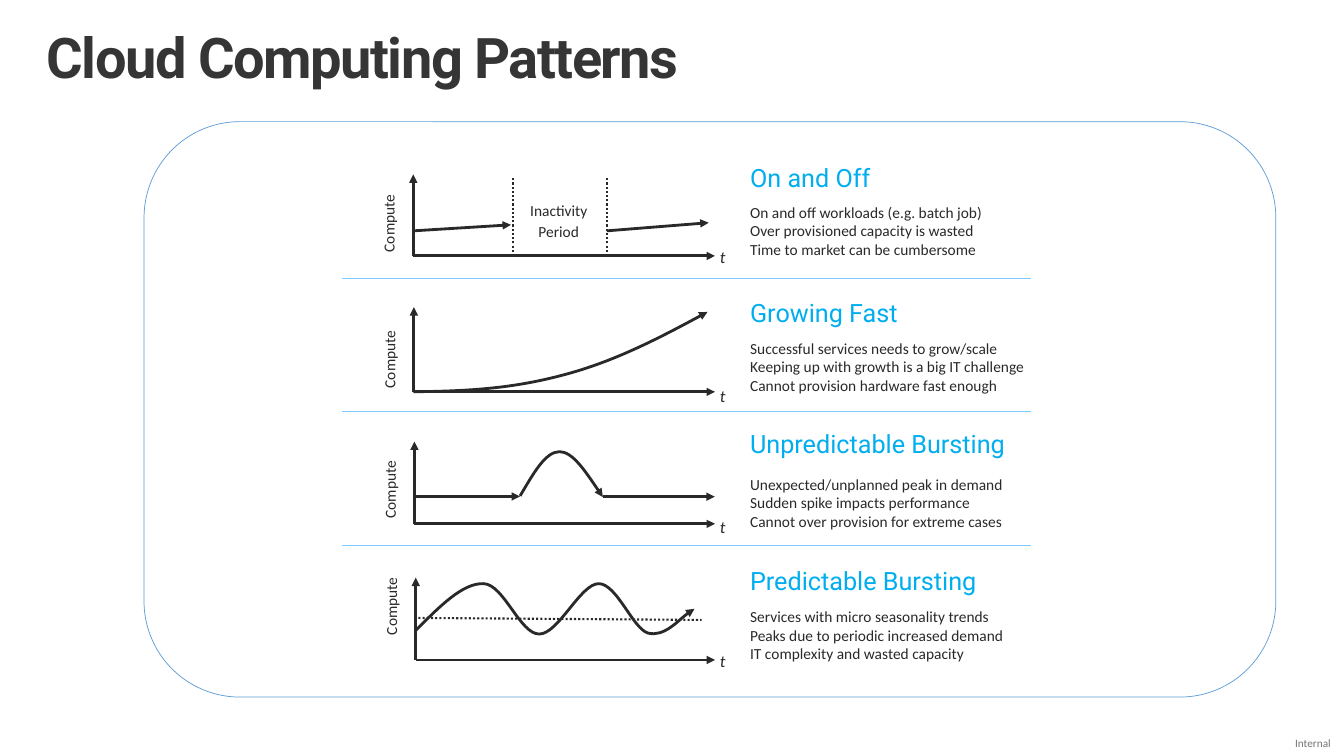
"""Build the Cloud Computing Patterns slide with four workload sketches."""
from pptx import Presentation
from pptx.dml.color import RGBColor
from pptx.enum.dml import MSO_LINE
from pptx.enum.shapes import MSO_CONNECTOR, MSO_SHAPE
from pptx.enum.text import MSO_ANCHOR, PP_ALIGN
from pptx.oxml.ns import qn
from pptx.util import Pt

INK = RGBColor(0x29, 0x29, 0x29)
TITLE_INK = RGBColor(0x35, 0x35, 0x35)
LABEL_GRAY = RGBColor(0x73, 0x73, 0x73)
HEADING_BLUE = RGBColor(0x00, 0xAE, 0xEF)
DIVIDER_BLUE = RGBColor(0x7E, 0xCC, 0xFF)
FRAME_BLUE = RGBColor(0x5B, 0x9B, 0xD5)
WHITE = RGBColor(0xFF, 0xFF, 0xFF)
STRAIGHT = MSO_CONNECTOR.STRAIGHT
ROUNDED = MSO_SHAPE.ROUNDED_RECTANGLE
DOTTED = MSO_LINE.ROUND_DOT
LEFT, CENTER, RIGHT = PP_ALIGN.LEFT, PP_ALIGN.CENTER, PP_ALIGN.RIGHT
TOP, MIDDLE = MSO_ANCHOR.TOP, MSO_ANCHOR.MIDDLE

PATTERNS = [
    {"heading": "On and Off",
     "points": ["On and off workloads (e.g. batch job)",
                "Over provisioned capacity is wasted",
                "Time to market can be cumbersome"],
     "heading_top": 114.9, "points_top": 145,
     "axis_left": 295.2, "axis_top": 124.6, "base": 182.8,
     "time_top": 176.4, "compute_middle": 159.6,
     "arrows": [(295.2, 164.9, 365, 160.6), (433.4, 164.9, 506.2, 159.1)],
     "dots": [(366.5, 182.9, 366.5, 126.7), (433.4, 182.9, 433.4, 126.7)]},
    {"heading": "Growing Fast",
     "points": ["Successful services needs to grow/scale",
                "Keeping up with growth is a big IT challenge",
                "Cannot provision hardware fast enough"],
     "heading_top": 211, "points_top": 241.9,
     "axis_left": 295.6, "axis_top": 219.4, "base": 279.9,
     "time_top": 275.8, "compute_middle": 256.8,
     "curve": [(295.2, 279.8),
               (337, 279.4), (367.2, 277.2), (402.5, 267.8),
               (437.8, 258.5), (471.6, 241.2), (505.4, 222.8)]},
    {"heading": "Unpredictable Bursting",
     "points": ["Unexpected/unplanned peak in demand",
                "Sudden spike impacts performance",
                "Cannot over provision for extreme cases"],
     "heading_top": 304.9, "points_top": 339.1,
     "axis_left": 296, "axis_top": 315.4, "base": 374.2,
     "time_top": 369.4, "compute_middle": 349.8,
     "arrows": [(296, 354.6, 371.5, 354.6), (430.6, 354.8, 510.6, 354.8)],
     "curve": [(371.5, 354.2),
               (380.9, 338.4), (389.5, 322.6), (399.6, 322.6),
               (409, 322.6), (419.8, 339.1), (430.6, 355)]},
    {"heading": "Predictable Bursting",
     "points": ["Services with micro seasonality trends",
                "Peaks due to periodic increased demand",
                "IT complexity and wasted capacity"],
     "heading_top": 402.5, "points_top": 433.9,
     "axis_left": 297, "axis_top": 412.6, "base": 471.4,
     "time_top": 464.6, "compute_middle": 433,
     "dots": [(298.8, 441.4, 501.1, 442.8)],
     "curve": [(296.6, 450.7),
               (313.9, 433.4), (330.5, 416.2), (345.6, 416.9),
               (360, 417.6), (371.5, 452.9), (385.2, 452.9),
               (398.9, 452.9), (414.7, 416.9), (427.7, 416.9),
               (440.6, 416.9), (452.2, 449.3), (463, 452.2),
               (474.5, 455), (489.6, 437.8), (496.1, 434.9)]},
]
DIVIDERS = [199.2, 293.8, 389.5]
DIVIDER_LEFT, DIVIDER_RIGHT = 244.1, 736.6
AXIS_RIGHT, TIME_LEFT, TEXT_LEFT = 510.7, 514.3, 535.8
COMPUTE_WIDTH, COMPUTE_HEIGHT, COMPUTE_GAP = 67.7, 15.1, 15


def place(shape, left, top, width, height):
    shape.left, shape.top = Pt(left), Pt(top)
    shape.width, shape.height = Pt(width), Pt(height)


def write(shape, lines, size, color=INK, font="Calibri", align=LEFT, anchor=TOP,
          bold=False, italic=False, spacing=None, after=0, insets=(0, 0), tracking=0):
    frame = shape.text_frame
    frame.word_wrap = True
    frame.vertical_anchor = anchor
    frame.margin_left = frame.margin_right = Pt(insets[0])
    frame.margin_top = frame.margin_bottom = Pt(insets[1])
    for index, text in enumerate(lines):
        para = frame.add_paragraph() if index else frame.paragraphs[0]
        para.alignment, para.line_spacing = align, spacing
        para.space_before, para.space_after = Pt(0), Pt(after)
        span = para.add_run()
        span.text = text
        span.font.name, span.font.size = font, Pt(size)
        span.font.bold, span.font.italic = bold, italic
        span.font.color.rgb = color
        if tracking:
            span.font._element.set("spc", str(tracking))


def add_text(page, box, lines, size, **style):
    shape = page.shapes.add_textbox(0, 0, 0, 0)
    place(shape, *box)
    write(shape, lines, size, **style)
    return shape


def style_line(shape, color, width, dash=None, arrow=False):
    shape.line.color.rgb = color
    shape.line.width = Pt(width)
    if dash:
        shape.line.dash_style = dash
    if arrow:
        outline = shape.element.spPr.find(qn("a:ln"))
        outline.append(outline.makeelement(qn("a:tailEnd"), {"type": "triangle"}))


def add_line(page, ends, color=INK, width=2, **style):
    line = page.shapes.add_connector(STRAIGHT, *[Pt(value) for value in ends])
    style_line(line, color, width, **style)
    properties = line.element.spPr
    properties.append(properties.makeelement(qn("a:effectLst"), {}))


def bend(shape):
    track = next(shape.element.spPr.iter(qn("a:path")))
    segments = track.findall(qn("a:lnTo"))
    for first in range(0, len(segments), 3):
        cubic = track.makeelement(qn("a:cubicBezTo"), {})
        for segment in segments[first:first + 3]:
            cubic.append(segment[0])
            track.remove(segment)
        track.append(cubic)


def add_curve(page, anchors):
    start, *others = [(Pt(x), Pt(y)) for x, y in anchors]
    builder = page.shapes.build_freeform(*start)
    builder.add_line_segments(others, close=False)
    curve = builder.convert_to_shape()
    bend(curve)
    curve.fill.background()
    curve.shadow.inherit = False
    style_line(curve, INK, 2, arrow=True)


def add_pattern(page, pattern):
    left, base = pattern["axis_left"], pattern["base"]
    add_line(page, (left, base, left, pattern["axis_top"]), arrow=True)
    add_line(page, (left, base, AXIS_RIGHT, base), arrow=True)
    add_text(page, (TIME_LEFT, pattern["time_top"], 77.8, 9), ["t"], 12, italic=True)
    compute = add_text(
        page, (left - COMPUTE_GAP - COMPUTE_WIDTH / 2,
               pattern["compute_middle"] - COMPUTE_HEIGHT / 2, COMPUTE_WIDTH, COMPUTE_HEIGHT),
        ["Compute"], 11, align=CENTER, spacing=Pt(8.6), insets=(5.8, 2.9))
    compute.rotation = 270
    for ends in pattern.get("arrows", []):
        add_line(page, ends, arrow=True)
    for ends in pattern.get("dots", []):
        add_line(page, ends, width=1.5, dash=DOTTED)
    if "curve" in pattern:
        add_curve(page, pattern["curve"])
    add_text(page, (TEXT_LEFT, pattern["heading_top"], 244, 26.6), [pattern["heading"]], 18,
             color=HEADING_BLUE, font="Roboto", spacing=0.9, insets=(0, 3.6))
    add_text(page, (TEXT_LEFT, pattern["points_top"], 226, 40.3), pattern["points"], 11)


def main():
    deck = Presentation()
    deck.slide_width, deck.slide_height = Pt(960), Pt(540)
    page = deck.slides.add_slide(deck.slide_layouts[5])

    frame = page.shapes.add_shape(ROUNDED, 0, 0, 0, 0)
    place(frame, 102.9, 86.9, 808.4, 411)
    frame.shadow.inherit = False
    frame.fill.solid()
    frame.fill.fore_color.rgb = WHITE
    style_line(frame, FRAME_BLUE, 0.5)

    title = page.shapes.title
    place(title, 26.2, 10.1, 677.5, 66.2)
    write(title, ["Cloud Computing Patterns"], 40, color=TITLE_INK, font="Roboto", bold=True,
          anchor=MIDDLE, spacing=0.9, insets=(7.2, 3.6), tracking=-103)

    for pattern in PATTERNS:
        add_pattern(page, pattern)
    add_text(page, (361, 145.4, 76.3, 36), ["Inactivity", "Period"], 11,
             align=CENTER, spacing=Pt(8.6), after=6.5, insets=(5.8, 2.9))
    for height in DIVIDERS:
        add_line(page, (DIVIDER_LEFT, height, DIVIDER_RIGHT, height),
                 color=DIVIDER_BLUE, width=0.75)
    add_text(page, (906.6, 522, 44, 18), ["Internal"], 8, color=LABEL_GRAY,
             align=RIGHT, anchor=MIDDLE)
    deck.save("out.pptx")


if __name__ == "__main__":
    main()
